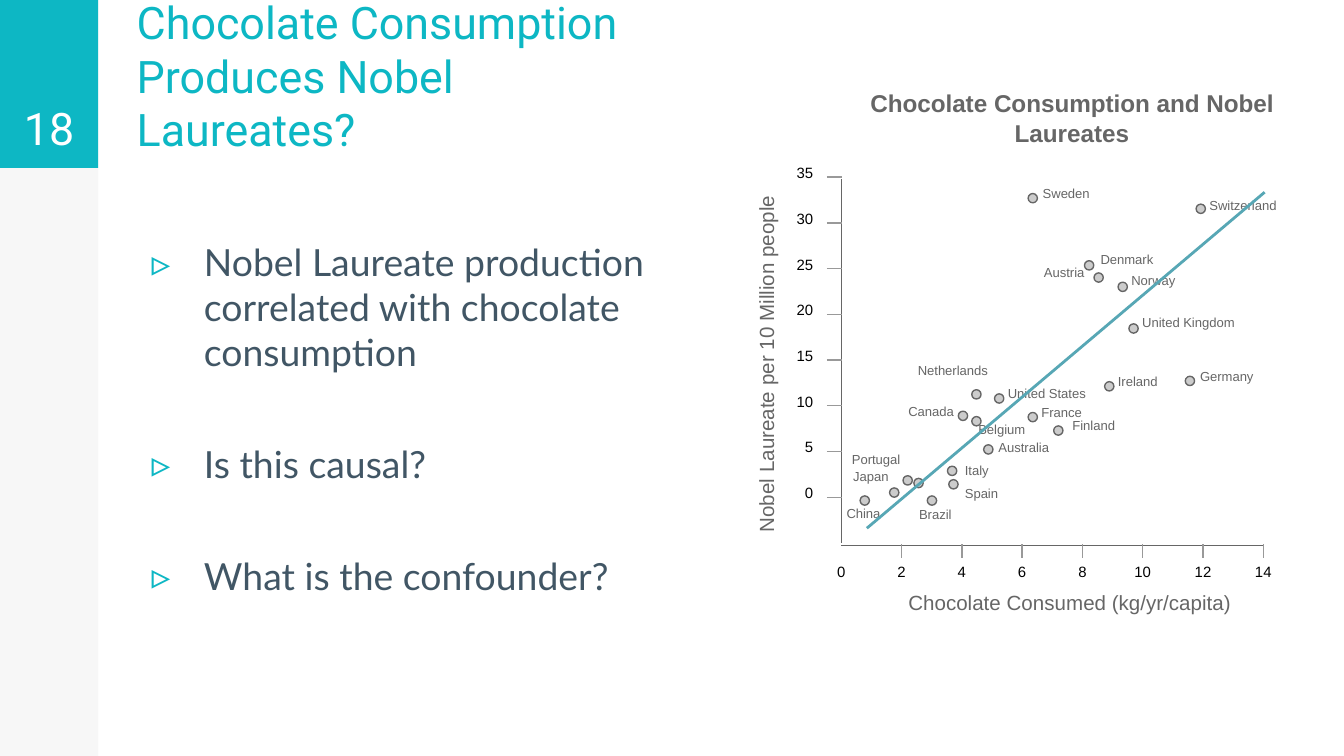
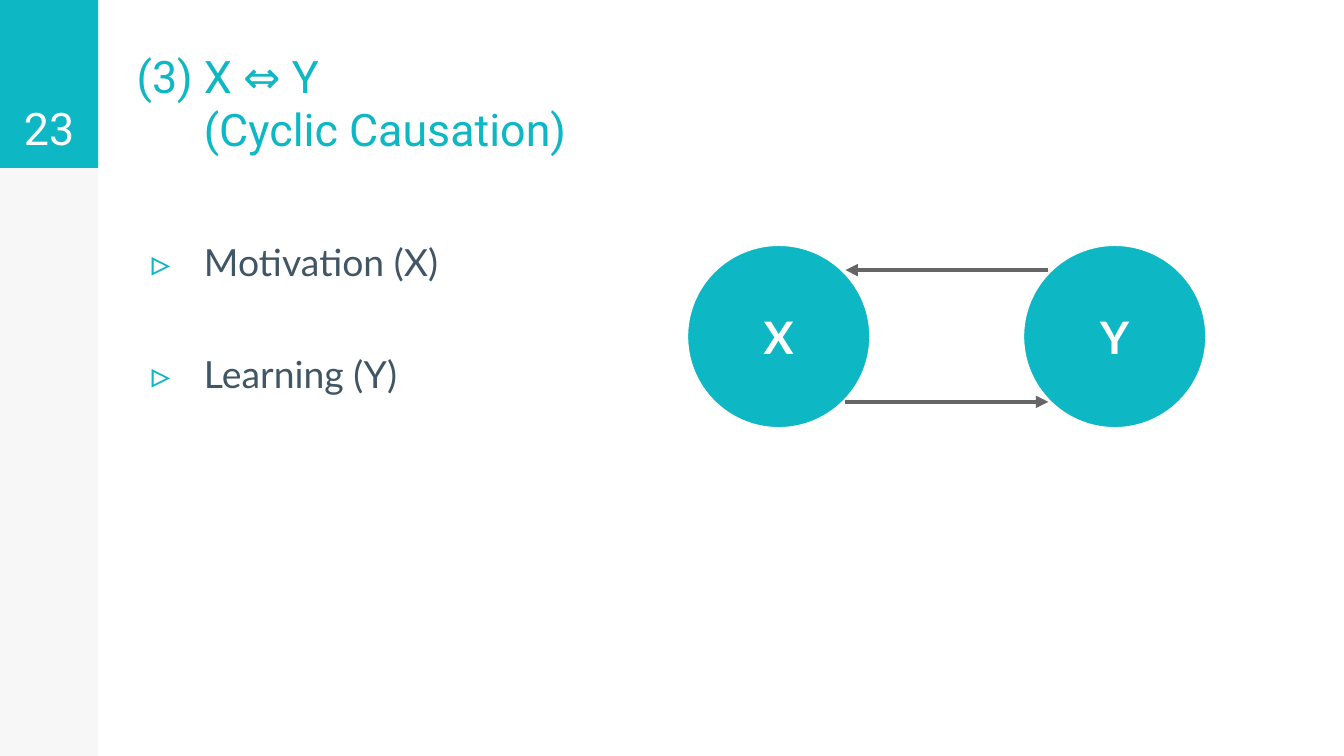
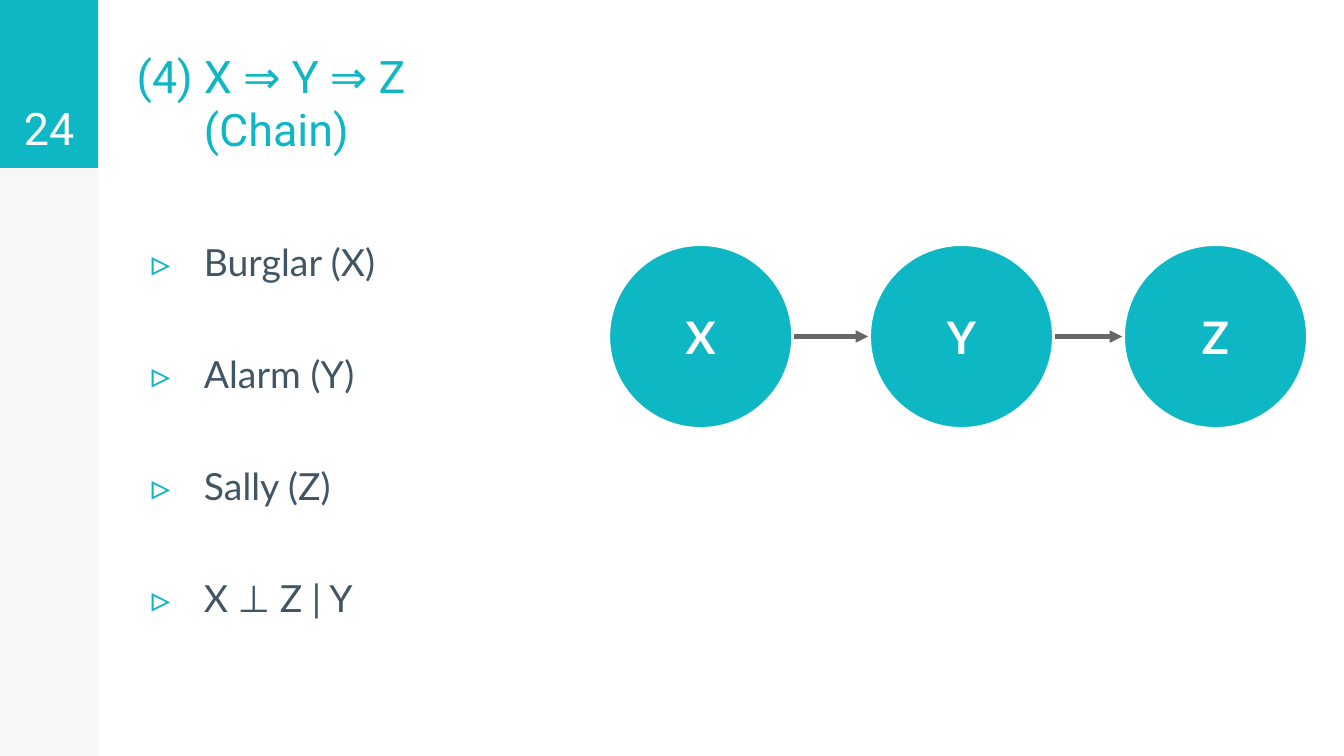
from lxml.etree import SubElement
from pptx import Presentation
from pptx.dml.color import RGBColor
from pptx.enum.shapes import MSO_CONNECTOR as Link, MSO_SHAPE as Form
from pptx.enum.text import MSO_ANCHOR as Anchor, PP_ALIGN as Align
from pptx.oxml.ns import qn
from pptx.util import Pt

TEAL, WHITE, PALE, BLACK = "0DB7C4", "FFFFFF", "F7F7F7", "000000"
SLATE, GRAY, TICK, DOT, TREND = "415665", "666666", "999999", "CCCCCC", "57A7B5"
HEAD, BODY, PLOT = "Roboto", "Lato", "Arial"
SIDE, BAND = 52.6, 90  # width of the side strip, height of the number block
RING, TOP = 100, 130.3  # size and top of the graph nodes

# country, dot left and top, label left and top
LANDS = [
    ("Sweden", 550.8, 103.7, 551.5, 95),
    ("Switzerland", 640.8, 109.4, 640.8, 101.5),
    ("Denmark", 581, 139.7, 582.5, 130.3),
    ("Norway", 599, 151.2, 599, 141.8),
    ("Austria", 586.1, 146.2, 552.2, 137.5),
    ("United Kingdom", 604.8, 173.5, 604.8, 164.2),
    ("Germany", 635, 201.6, 635.8, 193),
    ("Ireland", 591.8, 204.5, 591.8, 195.8),
    ("China", 460.8, 265.7, 446.4, 266.4),
    ("Finland", 564.5, 228.2, 567.4, 219.6),
    ("France", 550.8, 221, 550.8, 212.4),
    ("United States", 532.8, 211, 532.8, 202.3),
    ("Belgium", 520.6, 223.2, 517, 221.8),
    ("Netherlands", 520.6, 208.8, 484.6, 190.1),
    ("Canada", 513.4, 220.3, 479.5, 211.7),
    ("Australia", 527, 238.3, 527.8, 231.1),
    ("Spain", 508.3, 257, 509.8, 255.6),
    ("Italy", 507.6, 249.8, 509.8, 243.4),
    ("Brazil", 496.8, 265.7, 485.3, 267.1),
    (None, 489.6, 256.3, 0, 0),
    ("Portugal", 483.8, 254.9, 449.3, 237.6),
    ("Japan", 476.6, 261.4, 450, 247),
]


def color(code):
    return RGBColor.from_string(code)


class Deck:
    """Holds the shared style and the slide being drawn."""

    def __init__(self):
        self.prs = Presentation()
        self.prs.slide_width, self.prs.slide_height = Pt(720), Pt(405)
        self.slide = None

    def start(self, num, *title):
        """Add a slide with its side strip, number and title; later title lines are indented."""
        self.slide = self.prs.slides.add_slide(self.prs.slide_layouts[6])
        self.shape(Form.RECTANGLE, 0, 0, SIDE, 405, PALE)
        self.shape(Form.RECTANGLE, 0, 0, SIDE, BAND, TEAL)
        box = self.text(title, 66.2, 0.7, 280, BAND, 24, HEAD, TEAL, anchor=Anchor.BOTTOM)
        for para in box.text_frame.paragraphs[1:]:
            para._p.get_or_add_pPr().set("marL", str(Pt(36)))
        self.text([num], 0, 0, SIDE, BAND, 24, HEAD, WHITE, Align.CENTER, Anchor.BOTTOM)

    def shape(self, form, x, y, w, h, fill, line=None, width=0.75):
        item = self.slide.shapes.add_shape(form, Pt(x), Pt(y), Pt(w), Pt(h))
        item.shadow.inherit = False
        item.fill.solid()
        item.fill.fore_color.rgb = color(fill)
        if line:
            item.line.color.rgb = color(line)
            item.line.width = Pt(width)
        else:
            item.line.fill.background()
        return item

    def label(self, item, lines, size, font, ink, align=Align.LEFT, anchor=Anchor.TOP, bold=False):
        """Fill a shape with one paragraph per line, all in one style."""
        frame = item.text_frame
        frame.text = "\n".join(lines)
        frame.word_wrap = True
        frame.vertical_anchor = anchor
        frame.margin_left = frame.margin_right = Pt(7.2)
        frame.margin_top = frame.margin_bottom = Pt(7.2)
        for para in frame.paragraphs:
            para.alignment = align
            for run in para.runs:
                run.font.size, run.font.name, run.font.bold = Pt(size), font, bold
                run.font.color.rgb = color(ink)

    def text(self, lines, x, y, w, h, *style, **more):
        box = self.slide.shapes.add_textbox(Pt(x), Pt(y), Pt(w), Pt(h))
        self.label(box, lines, *style, **more)
        return box

    def points(self, width, *lines):
        """Add the bulleted body text."""
        box = self.text(lines, 66.2, 121, width, 267, 20, BODY, SLATE)
        for i, para in enumerate(box.text_frame.paragraphs):
            props = para._p.get_or_add_pPr()
            props.set("marL", str(Pt(36)))
            props.set("indent", str(Pt(-28)))
            tint = SubElement(props, qn("a:buClr"))
            SubElement(tint, qn("a:srgbClr"), val=TEAL)
            SubElement(props, qn("a:buFont"), typeface=BODY)
            SubElement(props, qn("a:buChar"), char="▹")
            if i:
                para.space_before = Pt(36)

    def line(self, x, y, to_x, to_y, ink=GRAY, width=0.75, arrow=False):
        item = self.slide.shapes.add_connector(Link.STRAIGHT, Pt(x), Pt(y), Pt(to_x), Pt(to_y))
        item.line.color.rgb = color(ink)
        item.line.width = Pt(width)
        if arrow:
            SubElement(item.line._get_or_add_ln(), qn("a:tailEnd"), type="triangle")
        SubElement(item._element.spPr, qn("a:effectLst"))

    def arrow(self, x, y, to_x):
        self.line(x, y, to_x, y, width=2.25, arrow=True)

    def node(self, name, x):
        ring = self.shape(Form.OVAL, x, TOP, RING, RING, TEAL, WHITE, 3)
        self.label(ring, [name], 24, BODY, WHITE, Align.CENTER, Anchor.MIDDLE, True)

    def axes(self):
        self.line(450.7, 95.8, 450.7, 290.9)
        self.line(450.7, 292.3, 676.8, 292.3)
        for i in range(8):
            x, y = 450.7 + 32.3 * i, 266.4 - 24.5 * i
            self.line(443, y, 451, y, TICK)
            self.text([str(5 * i)], 414.8, y - 12, 28, 19.4, 8, PLOT, BLACK, Align.RIGHT)
            if i:
                self.line(x, 291.6, x, 298.8, TICK)
            self.text([str(2 * i)], x - 14, 296.5, 28, 19.4, 8, PLOT, BLACK, Align.CENTER)
        self.text(["Chocolate Consumed (kg/yr/capita)"], 479.5, 310.3, 188.6, 12.2, 11, PLOT, GRAY)
        side = self.text(["Nobel Laureate per 10 Million people"],
                         280.8, 162.7, 247, 12.2, 11, PLOT, GRAY)
        side.rotation = 270

    def scatter(self):
        self.axes()
        for land, x, y, left, top in LANDS:
            self.shape(Form.OVAL, x, y, 5, 5, DOT, GRAY)
            if land:
                self.text([land], left, top, 72.7, 12.2, 7, PLOT, GRAY)
        self.line(464.4, 283, 677.5, 103, TREND, 1.5)
        self.text(["Chocolate Consumption and Nobel Laureates"],
                  434.2, 42.5, 280, 12.2, 13, PLOT, GRAY, Align.CENTER, bold=True)


def main():
    deck = Deck()

    deck.start("18", "Chocolate Consumption Produces Nobel Laureates?")
    deck.scatter()
    deck.points(352, "Nobel Laureate production correlated with chocolate consumption",
                "Is this causal?", "What is the confounder?")

    deck.start("23", "(3) X ⇔ Y", "(Cyclic Causation)")
    deck.node("X", 367.2)
    deck.node("Y", 547.2)
    deck.points(309, "Motivation (X)", "Learning (Y)")
    deck.arrow(561.6, 144.7, 452.9)
    deck.arrow(452.9, 215.3, 561.6)

    deck.start("24", "(4) X ⇒ Y ⇒ Z", "(Chain)")
    spots = [325.4, 465.1, 601.2]
    for name, x in zip("XYZ", spots):
        deck.node(name, x)
    deck.points(269, "Burglar (X)", "Alarm (Y)", "Sally (Z)", "X ⊥ Z | Y")
    for x, to_x in zip(spots, spots[1:]):
        deck.arrow(x + RING, TOP + RING / 2, to_x)

    deck.prs.save("out.pptx")


if __name__ == "__main__":
    main()
